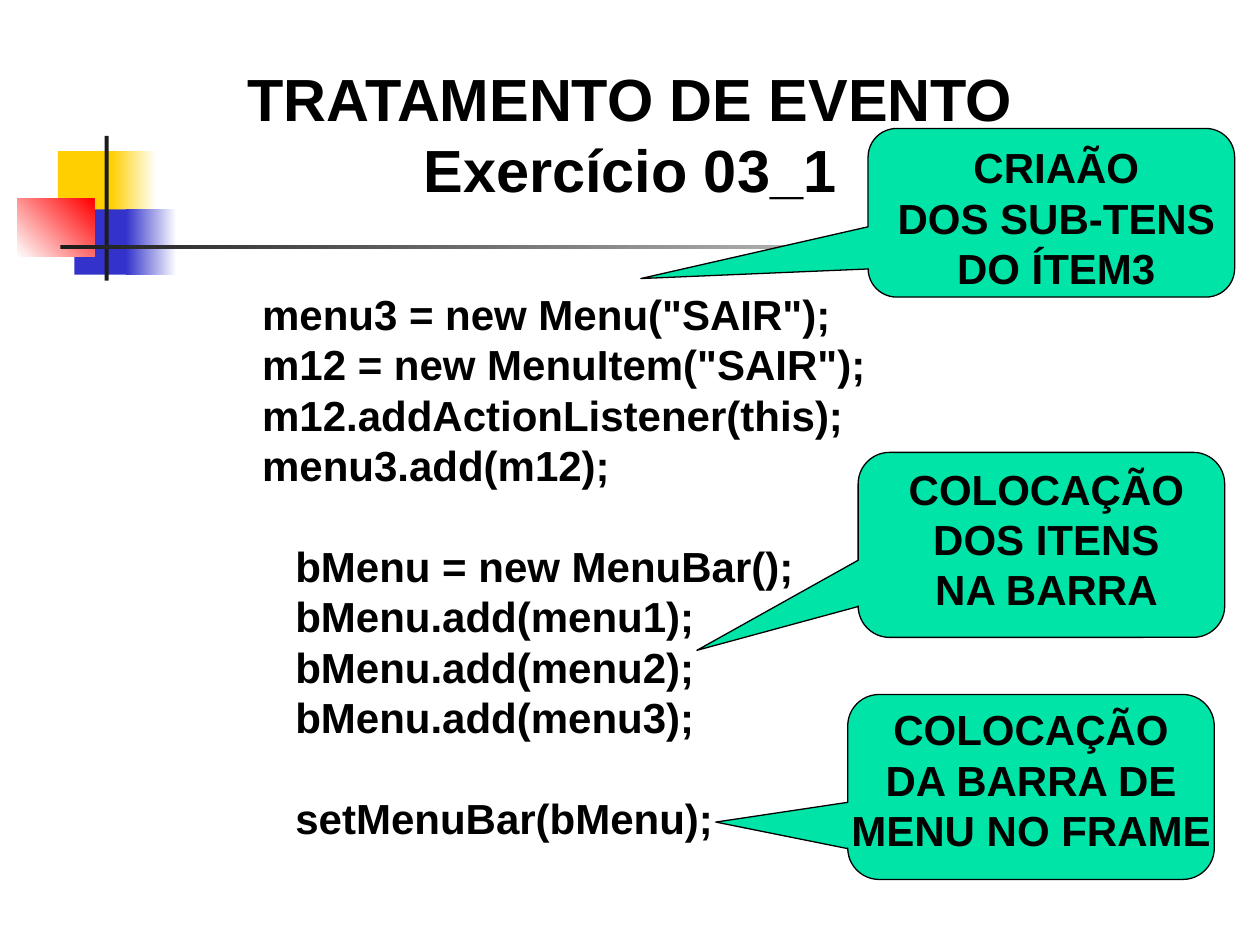
from lxml import etree
from pptx import Presentation
from pptx.dml.color import RGBColor
from pptx.enum.shapes import MSO_SHAPE
from pptx.enum.text import MSO_ANCHOR, MSO_AUTO_SIZE, PP_ALIGN
from pptx.oxml.ns import qn
from pptx.util import Cm, Pt

RECTANGLE = MSO_SHAPE.RECTANGLE
CALLOUT = MSO_SHAPE.ROUNDED_RECTANGULAR_CALLOUT
TOP = MSO_ANCHOR.TOP
NO_AUTOFIT = MSO_AUTO_SIZE.NONE
LEFT, CENTER = PP_ALIGN.LEFT, PP_ALIGN.CENTER

COLORS = {
    "text": "000000",
    "white": "FFFFFF",
    "yellow": "FFCF01",
    "blue": "3333CC",
    "red": "FF0000",
    "bar": "1C1C1C",
    "callout": "00E4A8",
}


def color(name):
    return RGBColor.from_string(COLORS[name])


def write_lines(text_frame, lines, size, alignment):
    text_frame.auto_size = NO_AUTOFIT
    text_frame.vertical_anchor = TOP
    text_frame.text = "\n".join(lines)
    for paragraph in text_frame.paragraphs:
        paragraph.alignment = alignment
        paragraph.line_spacing = 1.0
        paragraph.space_before = Pt(0)
        for run in paragraph.runs:
            run.font.name = "Arial"
            run.font.size = Pt(size)
            run.font.bold = True
            run.font.color.rgb = color("text")


presentation = Presentation()
presentation.slide_width = Cm(25.4)
presentation.slide_height = Cm(19.05)
slide = presentation.slides.add_slide(presentation.slide_layouts[1])

# Corner decoration: left, top, width, height, first color, second color, angle
decoration = [
    (1.17, 3.05, 1.22, 1.32, "yellow", None, 0),
    (2.24, 3.05, 0.91, 1.32, "yellow", "white", 0),
    (1.5, 4.22, 1.17, 1.32, "blue", None, 0),
    (2.54, 4.22, 1.02, 1.32, "blue", "white", 0),
    (0.35, 4.01, 1.55, 1.17, "white", "red", 45),
    (2.11, 2.74, 0.08, 2.92, "bar", None, 0),
    (1.22, 4.94, 22.86, 0.09, "bar", "white", 0),
]
for left, top, width, height, first, second, angle in decoration:
    shape = slide.shapes.add_shape(RECTANGLE, Cm(left), Cm(top), Cm(width), Cm(height))
    shape.shadow.inherit = False
    shape.line.fill.background()
    if second:
        shape.fill.gradient()
        shape.fill.gradient_angle = angle
        for stop, name in zip(shape.fill.gradient_stops, (first, second)):
            stop.color.rgb = color(name)
    else:
        shape.fill.solid()
        shape.fill.fore_color.rgb = color(first)

# Title
title = slide.shapes.title
title.left, title.top, title.width, title.height = Cm(0), Cm(1.12), Cm(25.4), Cm(3.15)
write_lines(title.text_frame, ["TRATAMENTO DE EVENTO", "Exercício 03_1"], 34, CENTER)

# Code: each block has its own indent and starts one line lower
code_blocks = [
    (3.76, [
        'menu3 = new Menu("SAIR");',
        'm12 = new MenuItem("SAIR");',
        "m12.addActionListener(this);",
        "menu3.add(m12);",
    ]),
    (4.43, [
        "bMenu = new MenuBar();",
        "bMenu.add(menu1);",
        "bMenu.add(menu2);",
        "bMenu.add(menu3);",
    ]),
    (4.43, ["setMenuBar(bMenu);"]),
]
body = slide.placeholders[1]
body.left, body.top, body.width, body.height = Cm(1.27), Cm(5.69), Cm(24.13), Cm(13.13)
code_lines = [line for _, block in code_blocks for line in block]
write_lines(body.text_frame, code_lines, 24, LEFT)
paragraphs = iter(body.text_frame.paragraphs)
for block_index, (indent, block) in enumerate(code_blocks):
    for line_index in range(len(block)):
        paragraph = next(paragraphs)
        if block_index and line_index == 0:
            paragraph.space_before = Pt(28.8)
        properties = paragraph._p.get_or_add_pPr()
        properties.set("marL", str(Cm(indent)))
        properties.set("indent", "0")
        etree.SubElement(properties, qn("a:buNone"))

# Callouts: left, top, height, pointer offsets, left and top margins, lines
callouts = [
    (17.5, 2.59, 3.4, (-1.12, 0.39), (0.2, 0.1),
     ["CRIAÃO", "DOS SUB-TENS", "DO ÍTEM3"]),
    (17.3, 9.12, 3.73, (-0.94, 0.57), (0.2, 0.03),
     ["COLOCAÇÃO", "DOS ITENS", "NA BARRA"]),
    (17.09, 14, 3.73, (-0.86, 0.19), (0, 0),
     ["COLOCAÇÃO", "DA BARRA DE\vMENU NO FRAME"]),
]
for left, top, height, pointer, margins, lines in callouts:
    shape = slide.shapes.add_shape(CALLOUT, Cm(left), Cm(top), Cm(7.39), Cm(height))
    shape.shadow.inherit = False
    shape.adjustments[0], shape.adjustments[1] = pointer
    shape.adjustments[2] = 0.17
    shape.fill.solid()
    shape.fill.fore_color.rgb = color("callout")
    shape.line.color.rgb = color("text")
    shape.line.width = Pt(0.75)
    text_frame = shape.text_frame
    text_frame.word_wrap = False
    text_frame.margin_left, text_frame.margin_top = Cm(margins[0]), Cm(margins[1])
    text_frame.margin_right = text_frame.margin_bottom = Cm(0)
    write_lines(text_frame, lines, 24, CENTER)

presentation.save("out.pptx")
